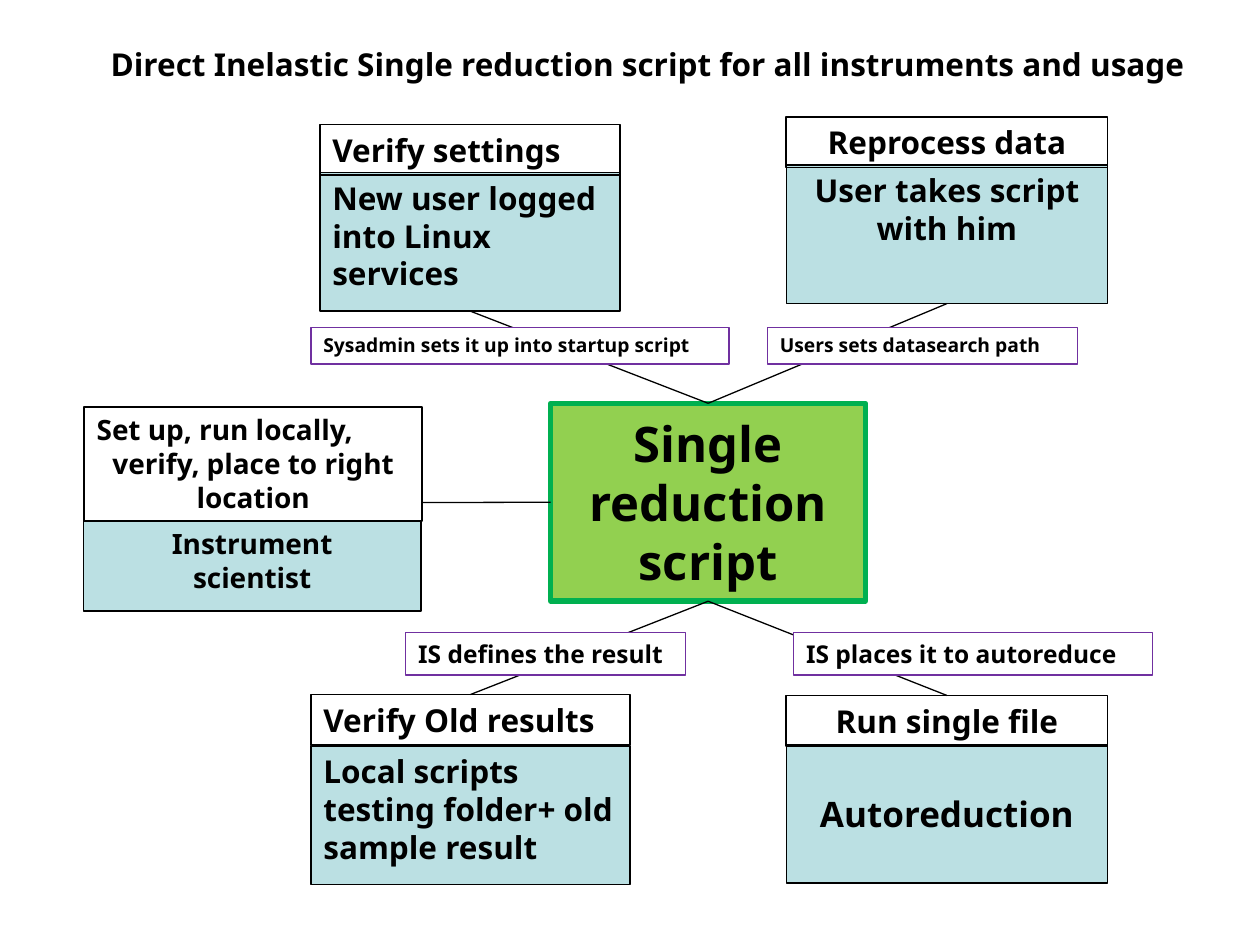
from lxml import etree
from pptx import Presentation
from pptx import util as u
from pptx.dml.color import RGBColor
from pptx.enum import shapes, text
from pptx.oxml.ns import qn

COLOURS = {
    "ink": "000000",
    "paper": "FFFFFF",
    "card": "BBE0E3",
    "hub": "92D050",
    "hub_edge": "00B050",
    "label_edge": "7030A0",
}
TOP, LEFT, BOTTOM = 0, 1, 2
LEFT_ALIGN, CENTRE = text.PP_ALIGN.LEFT, text.PP_ALIGN.CENTER
AT_TOP, MIDDLE = text.MSO_ANCHOR.TOP, text.MSO_ANCHOR.MIDDLE


def colour(name):
    return RGBColor.from_string(COLOURS[name])


class Diagram:
    """Holds the text style and the slide being drawn; places are in cm."""

    font_format = {"name": "Noto Sans", "bold": True}

    def __init__(self, slide):
        self.slide = slide

    def set_text(self, shape, words, size, align=LEFT_ALIGN, anchor=AT_TOP):
        """Fill a shape with one paragraph per line; align may be a list."""
        frame = shape.text_frame
        frame.word_wrap = True
        frame.vertical_anchor = anchor
        frame.text = words
        count = len(frame.paragraphs)
        aligns = align if isinstance(align, list) else [align] * count
        font_format = {**self.font_format, "size": u.Pt(size)}
        for paragraph, alignment in zip(frame.paragraphs, aligns):
            paragraph.alignment = alignment
            for run in paragraph.runs:
                for key, value in font_format.items():
                    setattr(run.font, key, value)
                run.font.color.rgb = colour("ink")

    def title(self, place, words, size):
        box = self.slide.shapes.add_textbox(*map(u.Cm, place))
        self.set_text(box, words, size)

    def box(self, place, words, size, fill=None, edge="ink", weight=0.75, **layout):
        shape = self.slide.shapes.add_shape(
            shapes.MSO_SHAPE.RECTANGLE, *map(u.Cm, place))
        shape.shadow.inherit = False
        if fill:
            shape.fill.solid()
            shape.fill.fore_color.rgb = colour(fill)
        else:
            shape.fill.background()
        shape.line.color.rgb = colour(edge)
        shape.line.width = u.Pt(weight)
        self.set_text(shape, words, size, **layout)
        return shape

    def card(self, body, head):
        """Draw a tinted body and its heading above; return both shapes."""
        return (self.box(fill="card", **body), self.box(weight=1, **head))

    def label(self, place, words, size):
        self.box(place, words, size, fill="paper", edge="label_edge")

    def link(self, end, end_side, begin=None, begin_side=None, start=(0, 0)):
        """Join two sides, or a free start point and a side."""
        x, y = map(u.Cm, start)
        line = self.slide.shapes.add_connector(
            shapes.MSO_CONNECTOR.STRAIGHT, x, y, x, y)
        if begin is not None:
            line.begin_connect(begin, begin_side)
        line.end_connect(end, end_side)
        line.line.color.rgb = colour("ink")
        line.line.width = u.Pt(0.75)
        etree.SubElement(line._element.spPr, qn("a:effectLst"))


def main():
    presentation = Presentation()
    presentation.slide_width = u.Cm(25.4)
    presentation.slide_height = u.Cm(19.05)
    slide = presentation.slides.add_slide(presentation.slide_layouts[6])
    diagram = Diagram(slide)

    hub = diagram.box((11.1, 8.13, 6.35, 3.99), "Single reduction script", 28,
                      fill="hub", edge="hub_edge", weight=3,
                      align=CENTRE, anchor=MIDDLE)

    settings, _ = diagram.card(
        dict(place=(6.45, 3.48, 6.05, 2.79), size=18,
             words="New user logged into Linux services"),
        dict(place=(6.45, 2.51, 6.05, 1.02), words="Verify settings", size=18))
    _, old_results = diagram.card(
        dict(place=(6.27, 15.04, 6.43, 2.79), size=18,
             words="Local scripts testing folder+ old sample result"),
        dict(place=(6.27, 14, 6.43, 1.02), words="Verify Old results", size=18))
    _, single_file = diagram.card(
        dict(place=(15.85, 15.01, 6.48, 2.79), words="Autoreduction", size=20,
             align=CENTRE, anchor=MIDDLE),
        dict(place=(15.85, 14.02, 6.48, 1.02), words="Run single file", size=18,
             align=CENTRE))
    reprocess, _ = diagram.card(
        dict(place=(15.85, 3.33, 6.48, 2.79), size=18, align=CENTRE,
             words="User takes script with him"),
        dict(place=(15.85, 2.36, 6.48, 1.02), words="Reprocess data", size=18,
             align=CENTRE))
    diagram.card(
        dict(place=(1.68, 10.49, 6.81, 1.83), size=16, align=CENTRE,
             words="Instrument\nscientist"),
        dict(place=(1.7, 8.2, 6.81, 2.31), size=16, align=[LEFT_ALIGN, CENTRE],
             words="Set up, run locally,\nverify, place to right location"))

    for source in (settings, reprocess):
        diagram.link(hub, TOP, source, BOTTOM)
    for target in (old_results, single_file):
        diagram.link(target, TOP, hub, BOTTOM)
    diagram.link(hub, LEFT, start=(8.53, 10.13))

    for place, words, size in (
        ((6.27, 6.6, 8.43, 0.74), "Sysadmin sets it up into startup script", 11),
        ((15.47, 6.6, 6.25, 0.74), "Users sets datasearch path", 11),
        ((8.18, 12.75, 5.64, 0.86), "IS defines the result", 14),
        ((16, 12.75, 7.24, 0.86), "IS places it to autoreduce", 14),
    ):
        diagram.label(place, words, size)

    diagram.title((1.98, 0.79, 23.09, 1.02),
                  "Direct Inelastic Single reduction script for all instruments and usage",
                  18)
    presentation.save("out.pptx")


if __name__ == "__main__":
    main()
